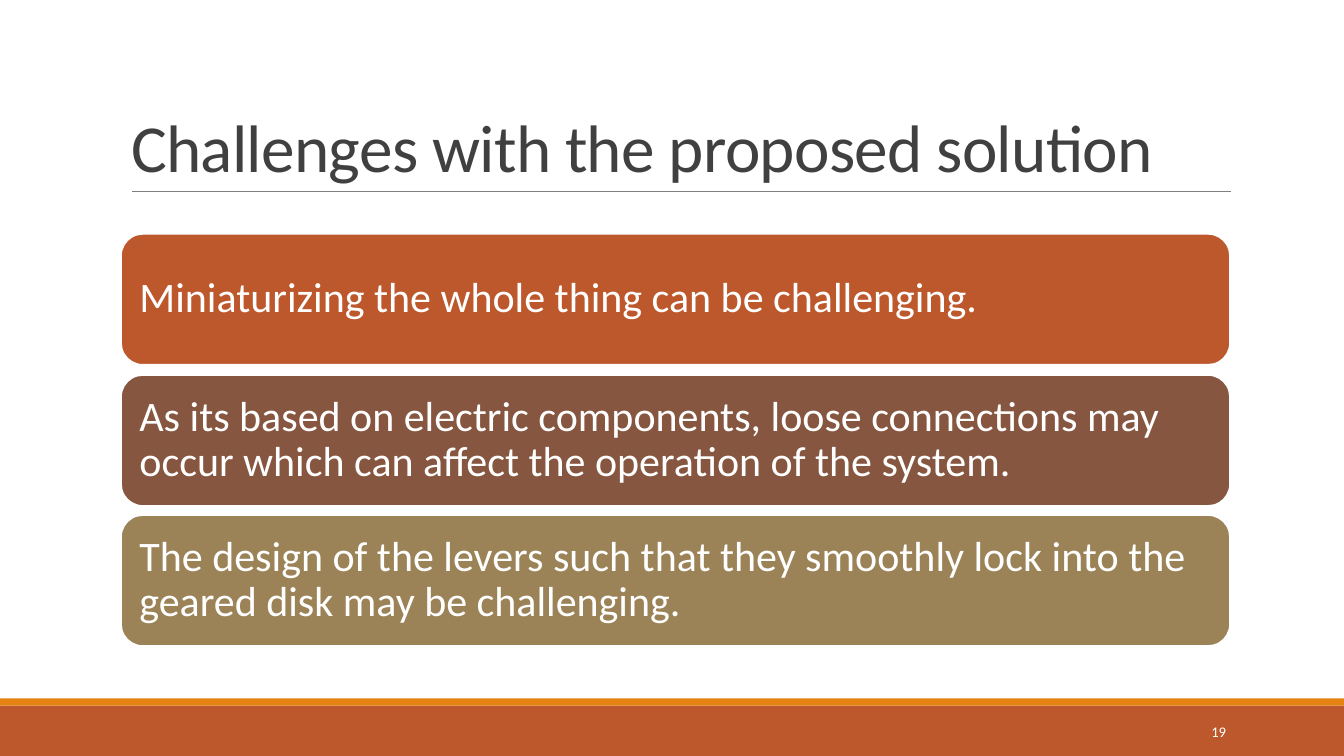
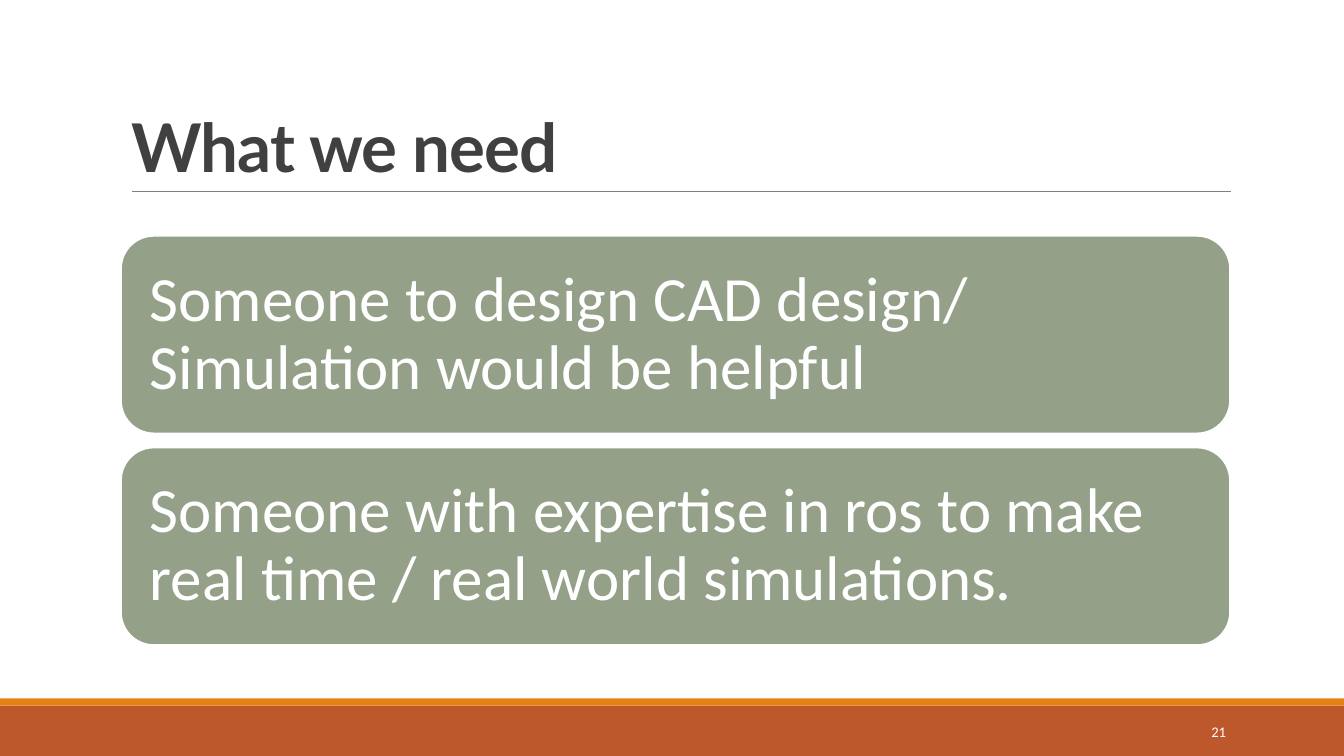
import dataclasses
import typing

import pptx
import pptx.dml.color
import pptx.enum.shapes
import pptx.enum.text
import pptx.oxml
import pptx.oxml.ns
import pptx.util

EMU_PER_PX = 9144  # 100 px to the inch
WIDTH, HEIGHT = 1333, 750
TITLE_ONLY = 5

COLORS = {
    "rust": "BD582C",
    "orange": "E48312",
    "brown": "865640",
    "tan": "9B8357",
    "sage": "94A088",
    "rule": "808080",
    "title": "404040",
    "white": "FFFFFF",
}

SHAPE = pptx.enum.shapes.MSO_SHAPE
ANCHOR = pptx.enum.text.MSO_ANCHOR
ALIGN = pptx.enum.text.PP_ALIGN


@dataclasses.dataclass(frozen=True)
class Card:
    text: str
    color: str


@dataclasses.dataclass(frozen=True)
class CardSlide:
    title: str
    title_font: dict[str, typing.Any]
    number: int
    top: int
    bottom: int
    card_height: int
    inset: int
    text_size: int
    cards: tuple[Card, ...]


SLIDES = (
    CardSlide(
        "Challenges with the proposed solution",
        {"name": "Calibri", "bold": False},
        19, 232, 641, 130, 12, 30,
        (
            Card("Miniaturizing the whole thing can be challenging.", "rust"),
            Card("As its based on electric components, loose connections may "
                 "occur which can affect the operation of the system.", "brown"),
            Card("The design of the levers such that they smoothly lock into "
                 "the geared disk may be challenging.", "tan"),
        ),
    ),
    CardSlide(
        "What we need",
        {"name": "Lato", "bold": True},
        21, 234, 640, 196, 19, 45,
        (
            Card("Someone to design CAD design/ Simulation would be helpful",
                 "sage"),
            Card("Someone with expertise in ros to make real time / real world "
                 "simulations.", "sage"),
        ),
    ),
)


def px(n: int) -> pptx.util.Emu:
    return pptx.util.Emu(n * EMU_PER_PX)


def rgb(color: str) -> pptx.dml.color.RGBColor:
    return pptx.dml.color.RGBColor.from_string(COLORS[color])


def set_all(target: typing.Any, values: dict[str, typing.Any]) -> None:
    for name, value in values.items():
        setattr(target, name, value)


def write(sp, text: str, color: str, font: dict, paragraph: dict, frame: dict):
    """Fill a shape with one formatted run and return the run."""
    tf = sp.text_frame
    set_all(tf, {"word_wrap": True,
                 "auto_size": pptx.enum.text.MSO_AUTO_SIZE.NONE} | frame)
    p = tf.paragraphs[0]
    set_all(p, paragraph)
    r = p.add_run()
    r.text = text
    set_all(r.font, {"name": "Calibri"} | font)
    r.font.color.rgb = rgb(color)
    return r


def add_block(s, kind, left: int, top: int, width: int, height: int, color: str):
    sp = s.shapes.add_shape(kind, px(left), px(top), px(width), px(height))
    sp.shadow.inherit = False
    sp.fill.solid()
    sp.fill.fore_color.rgb = rgb(color)
    sp.line.fill.background()
    return sp


def add_frame(s, number: int) -> None:
    """Footer bands, title rule and slide number."""
    add_block(s, SHAPE.RECTANGLE, 0, 700, WIDTH, 50, "rust")
    add_block(s, SHAPE.RECTANGLE, 0, 693, WIDTH, 7, "orange")

    line = s.shapes.add_connector(pptx.enum.shapes.MSO_CONNECTOR.STRAIGHT,
                                  px(131), px(190), px(1221), px(190))
    line.line.color.rgb = rgb("rule")
    line.line.width = pptx.util.Pt(0.5)
    line._element.spPr.append(pptx.oxml.parse_xml(
        f"<a:effectLst {pptx.oxml.ns.nsdecls('a')}/>"))

    sp = s.shapes.add_textbox(px(1083), px(706), px(143), px(40))
    write(sp, str(number), "white", {"size": pptx.util.Pt(10.5)},
          {"alignment": ALIGN.RIGHT}, {"vertical_anchor": ANCHOR.MIDDLE})


def add_title(s, text: str, font: dict) -> None:
    sp = s.shapes.title
    set_all(sp, {"left": px(120), "top": px(31),
                 "width": px(1100), "height": px(159)})
    r = write(sp, text, "title", {"size": pptx.util.Pt(48)} | font,
              {"alignment": ALIGN.LEFT, "line_spacing": 0.85},
              {"vertical_anchor": ANCHOR.BOTTOM})
    r.font._element.set("spc", "-50")


def add_cards(s, page: CardSlide) -> None:
    """Stack the cards evenly between the top and bottom of the page area."""
    pitch = (page.bottom - page.top - page.card_height) / (len(page.cards) - 1)
    sides = ("left", "top", "right", "bottom")
    margins = {f"margin_{side}": px(page.inset) for side in sides}
    for i, card in enumerate(page.cards):
        sp = add_block(s, SHAPE.ROUNDED_RECTANGLE, 120,
                       page.top + round(i * pitch), 1100, page.card_height,
                       card.color)
        sp.line.color.rgb = rgb("white")
        sp.line.width = pptx.util.Pt(1.25)
        write(sp, card.text, "white", {"size": pptx.util.Pt(page.text_size)},
              {"alignment": ALIGN.LEFT, "line_spacing": 0.9},
              {"vertical_anchor": ANCHOR.MIDDLE} | margins)


def main() -> None:
    prs = pptx.Presentation()
    set_all(prs, {"slide_width": px(WIDTH), "slide_height": px(HEIGHT)})
    for page in SLIDES:
        s = prs.slides.add_slide(prs.slide_layouts[TITLE_ONLY])
        add_frame(s, page.number)
        add_title(s, page.title, page.title_font)
        add_cards(s, page)
    prs.save("out.pptx")


if __name__ == "__main__":
    main()
